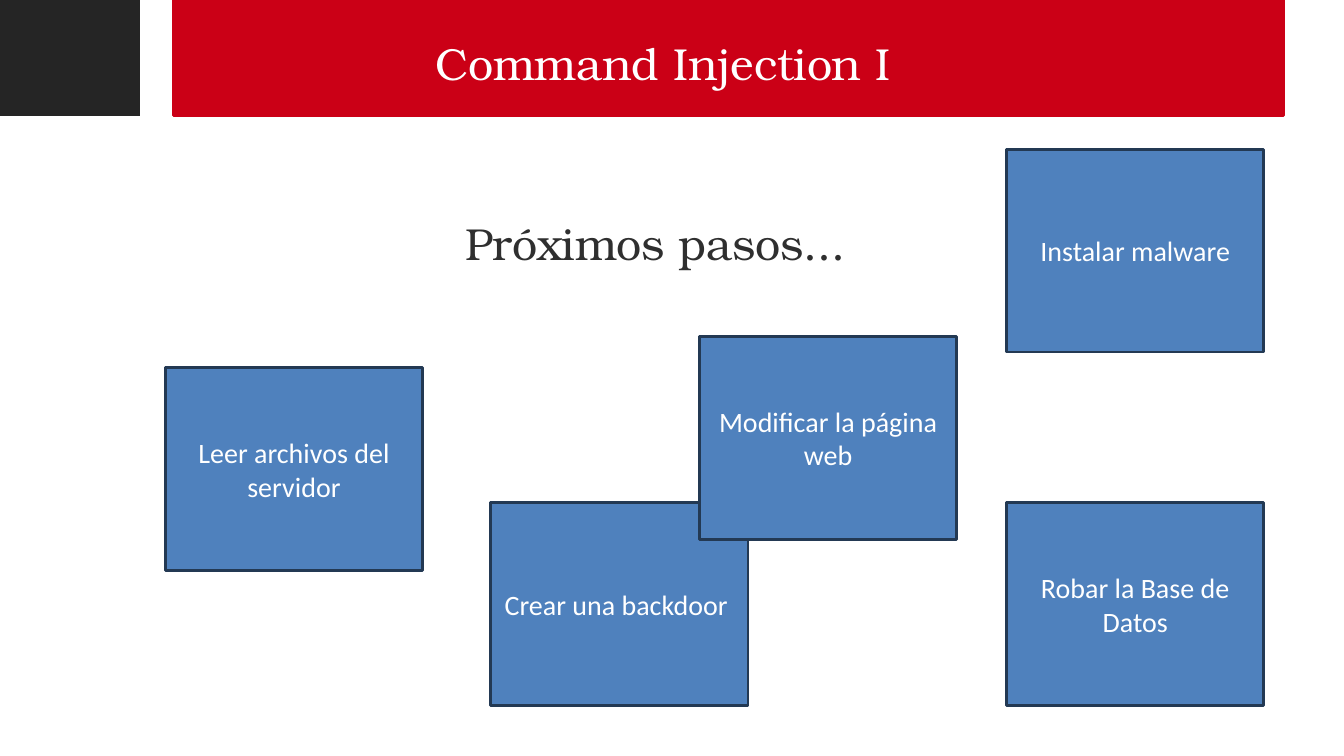
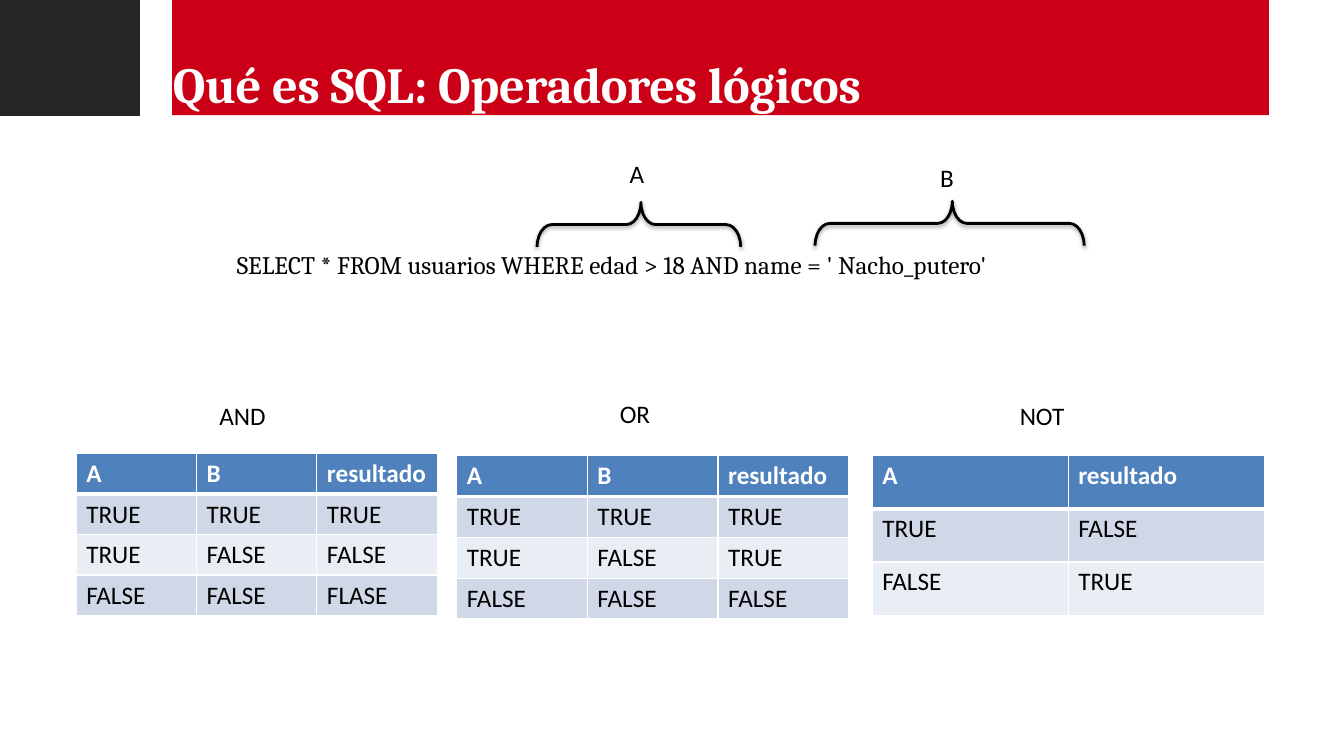
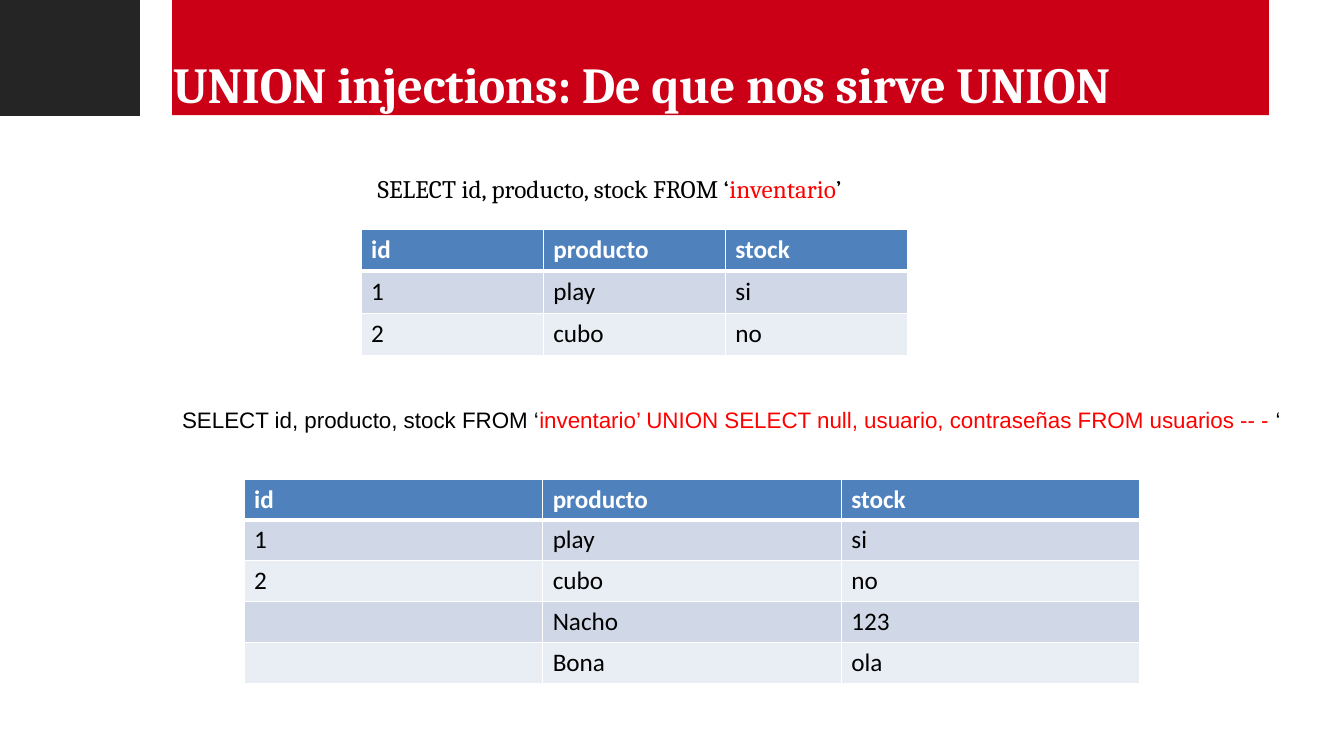
"""Builds three slides about command and SQL injection."""
from lxml import etree
from pptx import Presentation
from pptx.dml.color import RGBColor
from pptx.enum.shapes import MSO_SHAPE
from pptx.enum.text import MSO_ANCHOR, PP_ALIGN
from pptx.oxml import parse_xml
from pptx.oxml.ns import nsdecls, qn
from pptx.util import Cm, Pt

RECTANGLE = MSO_SHAPE.RECTANGLE
LEFT_BRACE = MSO_SHAPE.LEFT_BRACE
TOP, MIDDLE = MSO_ANCHOR.TOP, MSO_ANCHOR.MIDDLE
LEFT, CENTER = PP_ALIGN.LEFT, PP_ALIGN.CENTER

COLORS = {
    "corner": "252525",
    "band": "CB0016",
    "white": "FFFFFF",
    "black": "000000",
    "heading": "2F2F2F",
    "injected": "FF0000",
    "blue": "4F81BD",
    "blue_edge": "233953",
    "odd_row": "D0D8E8",
    "even_row": "E9EDF4",
}

STYLES = {
    "title": {"font": "Cambria", "size": 36, "bold": True, "spacing": -20},
    "heading": {"font": "TeX Gyre Bonum", "size": 32, "spacing": -20},
    "step": {"font": "Calibri", "size": 20},
    "label": {"font": "Calibri", "size": 18},
    "header": {"font": "Calibri", "size": 18, "bold": True},
    "query": {"font": "Cambria", "size": 18},
    "long_query": {"font": "Arial", "size": 16},
}


def rgb(color):
    return RGBColor.from_string(COLORS[color])


def format_run(run, style, color):
    look = STYLES[style]
    run.font.name = look["font"]
    run.font.size = Pt(look["size"])
    run.font.bold = look.get("bold", False)
    run.font.color.rgb = rgb(color)
    if "spacing" in look:
        run.font._element.set("spc", str(look["spacing"]))


def write(frame, spans, style, align=LEFT):
    paragraph = frame.paragraphs[0]
    paragraph.alignment = align
    for words, color in spans:
        run = paragraph.add_run()
        run.text = words
        format_run(run, style, color)


def set_title_insets(frame, top):
    frame.margin_left = Cm(0.02)
    frame.margin_right = frame.margin_bottom = 0
    frame.margin_top = Cm(top)


def add_text(slide, left, top, width, spans, style, height=1.02):
    box = slide.shapes.add_textbox(Cm(left), Cm(top), Cm(width), Cm(height))
    box.text_frame.word_wrap = True
    write(box.text_frame, spans, style)
    return box.text_frame


def add_heading(slide, left, top, width, height, words, color):
    frame = add_text(slide, left, top, width, [(words, color)], "heading", height)
    set_title_insets(frame, 0.69)


def add_box(slide, left, top, width, height, fill, line=None):
    box = slide.shapes.add_shape(RECTANGLE, Cm(left), Cm(top), Cm(width), Cm(height))
    box.shadow.inherit = False
    box.fill.solid()
    box.fill.fore_color.rgb = rgb(fill)
    if line:
        box.line.color.rgb = rgb(line)
        box.line.width = Pt(2)
    else:
        box.line.fill.background()
    return box


def add_step(slide, left, top, words):
    frame = add_box(slide, left, top, 6.48, 5.11, "blue", "blue_edge").text_frame
    frame.word_wrap = True
    frame.vertical_anchor = MIDDLE
    write(frame, [(words, "white")], "step", CENTER)


def add_brace(slide, center_x, center_y, span):
    depth = 1.12
    brace = slide.shapes.add_shape(
        LEFT_BRACE, Cm(center_x - depth / 2), Cm(center_y - span / 2), Cm(depth), Cm(span)
    )
    brace.rotation = 90
    brace.adjustments[0] = 0.33
    brace.adjustments[1] = 0.49
    brace.fill.background()
    brace.line.color.rgb = rgb("black")
    brace.line.width = Pt(2)
    brace.shadow.inherit = False
    effects = brace._element.spPr.find(qn("a:effectLst"))
    effects.append(parse_xml(
        f'<a:outerShdw {nsdecls("a")} blurRad="40000" dist="20000" dir="5400000" rotWithShape="0">'
        f'<a:srgbClr val="{COLORS["black"]}"><a:alpha val="38000"/></a:srgbClr></a:outerShdw>'
    ))


def set_borders(cell, widths):
    properties = cell._tc.get_or_add_tcPr()
    for side, width in widths.items():
        line = etree.SubElement(properties, qn(f"a:ln{side}"), w=str(Pt(width)))
        fill = etree.SubElement(line, qn("a:solidFill"))
        etree.SubElement(fill, qn("a:srgbClr"), val=COLORS["white"])


def add_grid(slide, left, top, width, row_height, rows):
    columns = len(rows[0])
    table = slide.shapes.add_table(
        len(rows), columns, Cm(left), Cm(top), Cm(width), Cm(row_height * len(rows))
    ).table
    for column in table.columns:
        column.width = Cm(width / columns)
    for r, values in enumerate(rows):
        table.rows[r].height = Cm(row_height)
        if r == 0:
            style, ink, fill = "header", "white", "blue"
        else:
            style, ink, fill = "label", "black", "odd_row" if r % 2 else "even_row"
        borders = {"L": 1, "R": 1, "T": 3 if r == 1 else 1, "B": 3 if r == 0 else 1}
        for c, value in enumerate(values):
            cell = table.cell(r, c)
            set_borders(cell, borders)
            cell.fill.solid()
            cell.fill.fore_color.rgb = rgb(fill)
            if value:
                write(cell.text_frame, [(value, ink)], style)


def start_slide(deck):
    slide = deck.slides.add_slide(deck.slide_layouts[6])
    add_box(slide, 0, 0, 3.53, 2.92, "corner")
    return slide


def start_titled_slide(deck, title):
    slide = start_slide(deck)
    frame = add_box(slide, 4.34, 0, 27.64, 2.9, "band").text_frame
    frame.word_wrap = True
    frame.vertical_anchor = TOP
    set_title_insets(frame, 1.35)
    write(frame, [(title, "white")], "title")
    return slide


def build_next_steps(deck):
    slide = start_slide(deck)
    add_box(slide, 4.37, 0, 27.97, 2.92, "band", "band")
    add_heading(slide, 10.95, 0.2, 14.83, 4.06, "Command Injection I", "white")
    add_heading(slide, 11.71, 4.75, 10.44, 2.06, "Próximos pasos...", "heading")
    for left, top, words in (
        (4.17, 9.27, "Leer archivos del servidor"),
        (12.37, 12.67, "Crear una backdoor "),
        (17.63, 8.48, "Modificar la página web"),
        (25.37, 12.67, "Robar la Base de Datos"),
        (25.37, 3.76, "Instalar malware"),
    ):
        add_step(slide, left, top, words)


def build_operators(deck):
    slide = start_titled_slide(deck, "Qué es SQL: Operadores lógicos")
    query = "SELECT * FROM usuarios WHERE edad > 18 AND name = ' Nacho_putero'"
    add_text(slide, 5.72, 6.15, 23.16, [(query, "black")], "query")
    add_brace(slide, 16.1, 5.66, 5.13)
    add_brace(slide, 23.93, 5.63, 6.78)
    for left, top, width, words in (
        (15.62, 3.86, 0.94, "A"),
        (23.44, 3.96, 0.94, "B"),
        (5.28, 9.96, 3.61, "AND"),
        (15.37, 9.91, 1.5, "OR"),
        (25.45, 9.96, 1.9, "NOT"),
    ):
        add_text(slide, left, top, width, [(words, "black")], "label")
    add_grid(slide, 1.92, 11.43, 9.1, 1.02, [
        ("A", "B", "resultado"),
        ("TRUE", "TRUE", "TRUE"),
        ("TRUE", "FALSE", "FALSE"),
        ("FALSE", "FALSE", "FLASE"),
    ])
    add_grid(slide, 11.51, 11.48, 9.88, 1.03, [
        ("A", "B", "resultado"),
        ("TRUE", "TRUE", "TRUE"),
        ("TRUE", "FALSE", "TRUE"),
        ("FALSE", "FALSE", "FALSE"),
    ])
    add_grid(slide, 21.98, 11.48, 9.88, 1.34, [
        ("A", "resultado"),
        ("TRUE", "FALSE"),
        ("FALSE", "TRUE"),
    ])


def build_union(deck):
    slide = start_titled_slide(deck, "UNION injections: De que nos sirve UNION")
    select = "SELECT id, producto, stock FROM ‘"
    injection = "inventario’ UNION SELECT null, usuario, contraseñas FROM usuarios -- - "
    stock = [("id", "producto", "stock"), ("1", "play", "si"), ("2", "cubo", "no")]
    users = [("", "Nacho", "123"), ("", "Bona", "ola")]
    add_grid(slide, 9.1, 5.77, 13.77, 1.06, stock)
    add_text(slide, 9.27, 4.24, 13.84,
             [(select, "black"), ("inventario", "injected"), ("’", "black")], "query")
    add_text(slide, 4.34, 10.11, 29.5,
             [(select, "black"), (injection, "injected"), ("‘", "black")], "long_query", 0.94)
    add_grid(slide, 6.15, 12.07, 22.58, 1.03, stock + users)


def main():
    deck = Presentation()
    deck.slide_width = Cm(33.87)
    deck.slide_height = Cm(19.05)
    build_next_steps(deck)
    build_operators(deck)
    build_union(deck)
    deck.save("out.pptx")


if __name__ == "__main__":
    main()
